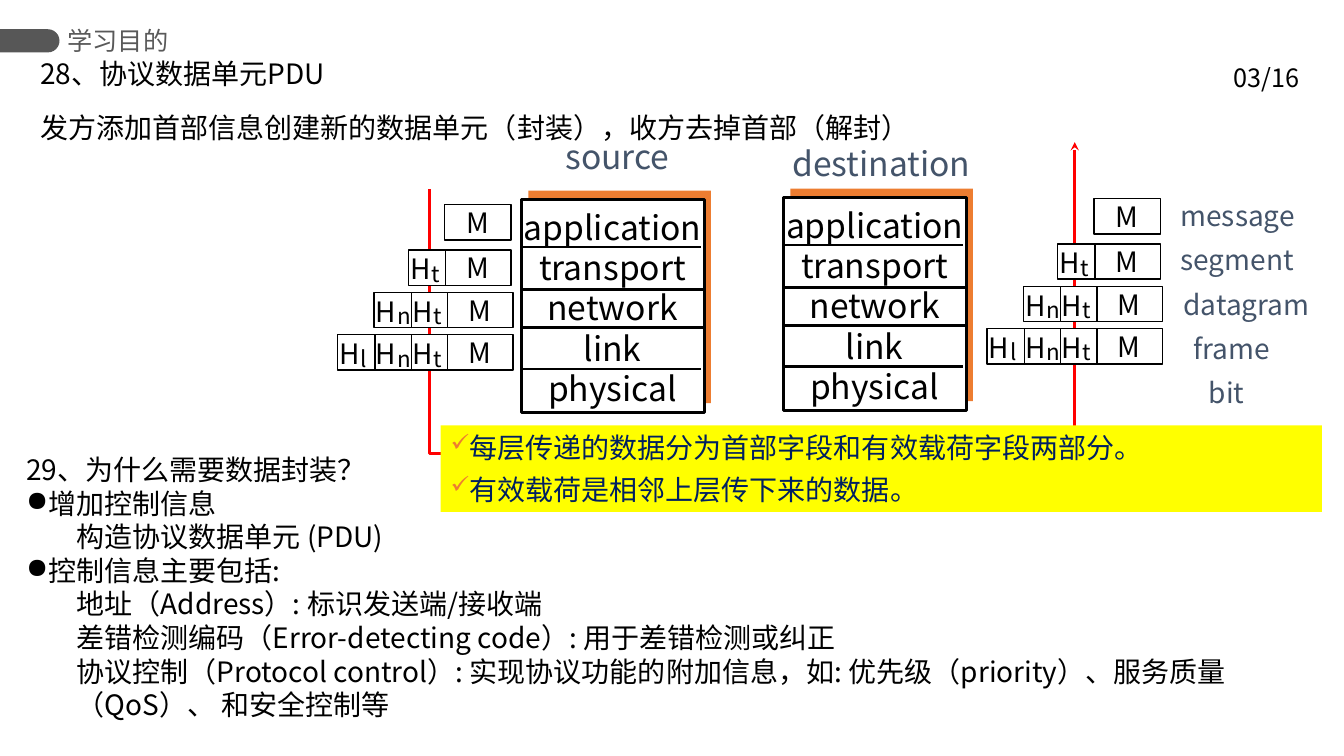
from lxml import etree
from pptx import Presentation
from pptx.dml.color import RGBColor
from pptx.enum.shapes import MSO_CONNECTOR, MSO_SHAPE
from pptx.enum.text import MSO_ANCHOR, PP_ALIGN
from pptx.oxml.ns import qn
from pptx.util import Inches, Pt

BLACK = RGBColor(0x00, 0x00, 0x00)
WHITE = RGBColor(0xFF, 0xFF, 0xFF)
TAG_GRAY = RGBColor(0x57, 0x57, 0x57)
TITLE_GRAY = RGBColor(0x59, 0x59, 0x59)
SLATE = RGBColor(0x44, 0x54, 0x6A)
ORANGE = RGBColor(0xED, 0x7D, 0x31)
RED = RGBColor(0xFF, 0x00, 0x00)
YELLOW = RGBColor(0xFF, 0xFF, 0x00)
NAVY = RGBColor(0x00, 0x20, 0x60)

FONT = "Noto Sans CJK SC"
LAYERS = ["application", "transport", "network", "link", "physical"]
# Top of each row, left of its M cell, and header letters from right to left
UNIT_ROWS = [(2.03, 4.41, ""), (2.48, 4.41, "t"), (2.9, 4.43, "tn"), (3.32, 4.43, "tnl")]
UNIT_NAMES = [
    ("message", 11.61, 1.43),
    ("segment", 11.61, 1.43),
    ("datagram", 11.64, 1.5),
    ("frame", 11.74, 0.98),
    ("bit", 11.89, 0.56),
]
NOTES = [
    ("29、为什么需要数据封装？", "plain"),
    ("增加控制信息", "bullet"),
    ("构造协议数据单元 (PDU)", "indent"),
    ("控制信息主要包括:", "bullet"),
    ("地址（Address）: 标识发送端/接收端", "indent"),
    ("差错检测编码（Error-detecting code）: 用于差错检测或纠正", "indent"),
    ("协议控制（Protocol control）: 实现协议功能的附加信息，如: "
     "优先级（priority）、服务质量（QoS）、 和安全控制等", "indent"),
]


def add_run(paragraph, text, size, color, font_name=FONT):
    run = paragraph.add_run()
    run.text = text
    run.font.size = Pt(size)
    run.font.color.rgb = color
    run.font.name = font_name
    latin = run.font._element.find(qn("a:latin"))
    east_asian = etree.Element(qn("a:ea"), typeface=font_name)
    latin.addnext(east_asian)


def add_bullet(paragraph, character, color=None, percent=None):
    properties = paragraph._p.get_or_add_pPr()
    properties.set("marL", "0")
    properties.set("indent", "0")
    if color is not None:
        bullet_color = etree.SubElement(properties, qn("a:buClr"))
        etree.SubElement(bullet_color, qn("a:srgbClr"), val=str(color))
    if percent is not None:
        etree.SubElement(properties, qn("a:buSzPct"), val=str(percent * 1000))
    etree.SubElement(properties, qn("a:buChar"), char=character)


def paragraphs_for(frame, count):
    """Return count paragraphs, beginning with the one the frame already has."""
    return [frame.paragraphs[0]] + [frame.add_paragraph() for _ in range(count - 1)]


def add_box(slide, left, top, width, height, fill, line_width=None,
            kind=MSO_SHAPE.RECTANGLE):
    shape = slide.shapes.add_shape(
        kind, Inches(left), Inches(top), Inches(width), Inches(height))
    shape.shadow.inherit = False
    shape.fill.solid()
    shape.fill.fore_color.rgb = fill
    if line_width is None:
        shape.line.fill.background()
    else:
        shape.line.color.rgb = BLACK
        shape.line.width = Pt(line_width)
    return shape


def add_text(slide, left, top, width, height, lines, size, color=BLACK,
             align=PP_ALIGN.LEFT, wrap=False, font_name=FONT):
    box = slide.shapes.add_textbox(
        Inches(left), Inches(top), Inches(width), Inches(height))
    frame = box.text_frame
    frame.word_wrap = wrap
    for paragraph, line in zip(paragraphs_for(frame, len(lines)), lines):
        paragraph.alignment = align
        add_run(paragraph, line, size, color, font_name)
    return frame


def add_heading(slide):
    tag = add_box(slide, 0.18, 0.11, 0.23, 0.59, TAG_GRAY,
                  kind=MSO_SHAPE.ROUND_2_SAME_RECTANGLE)
    tag.adjustments[0] = 0.5
    tag.rotation = 90
    title = add_text(slide, 0.67, 0.19, 2.33, 0.42, ["学习目的"], 18, TITLE_GRAY,
                     wrap=True, font_name="Arial")
    title.margin_left = title.margin_right = 0
    title.vertical_anchor = MSO_ANCHOR.MIDDLE
    add_text(slide, 12.14, 0.57, 0.9, 0.4, ["03/16"], 18)


def add_layer_stack(slide, dx, dy):
    add_box(slide, 5.24 + dx, 1.89 + dy, 1.81, 2.11, ORANGE)
    add_box(slide, 5.17 + dx, 1.98 + dy, 1.82, 2.11, WHITE, 2)
    for x, y in [(5.16, 2.45), (5.19, 2.87), (5.19, 3.25), (5.16, 3.66)]:
        divider = slide.shapes.add_connector(
            MSO_CONNECTOR.STRAIGHT, Inches(x + dx), Inches(y + dy),
            Inches(x + dx + 1.79), Inches(y + dy))
        divider.line.color.rgb = BLACK
        divider.line.width = Pt(2)
        etree.SubElement(divider._element.spPr, qn("a:effectLst"))
    add_text(slide, 5.08 + dx, 2 + dy, 1.99, 2.12, LAYERS, 24, align=PP_ALIGN.CENTER)


def add_data_path(slide):
    """Draw the red route down the source, across, and up the destination."""
    builder = slide.shapes.build_freeform(Inches(4.26), Inches(1.88))
    corners = [(4.26, 4.5), (10.66, 4.5), (10.66, 1.41)]
    builder.add_line_segments([(Inches(x), Inches(y)) for x, y in corners], close=False)
    route = builder.convert_to_shape()
    route.shadow.inherit = False
    route.fill.background()
    route.line.color.rgb = RED
    route.line.width = Pt(2)
    etree.SubElement(route.line._get_or_add_ln(), qn("a:tailEnd"), type="stealth")


def add_header_cell(slide, left, top, letter):
    add_box(slide, left, top, 0.37, 0.35, WHITE, 1)
    add_text(slide, left - 0.08, top - 0.03, 0.34, 0.44, ["H"], 20, wrap=True)
    add_text(slide, left + 0.13, top + 0.05, 0.32, 0.37, [letter], 16, wrap=True)


def add_data_units(slide, dx, dy):
    for top, left, headers in UNIT_ROWS:
        message = add_box(slide, left + dx, top + dy, 0.66, 0.35, WHITE, 1)
        frame = message.text_frame
        frame.word_wrap = False
        frame.vertical_anchor = MSO_ANCHOR.MIDDLE
        frame.paragraphs[0].alignment = PP_ALIGN.CENTER
        add_run(frame.paragraphs[0], "M", 20, BLACK)
        for position, letter in enumerate(headers, start=1):
            add_header_cell(slide, left + dx - 0.36 * position, top + dy, letter)


def add_highlight(slide):
    frame = add_box(slide, 4.37, 4.22, 8.74, 0.86, YELLOW).text_frame
    frame.word_wrap = True
    frame.vertical_anchor = MSO_ANCHOR.TOP
    lines = ["每层传递的数据分为首部字段和有效载荷字段两部分。", "有效载荷是相邻上层传下来的数据。"]
    first, second = paragraphs_for(frame, len(lines))
    second.space_before = Pt(6)
    for paragraph, line in zip((first, second), lines):
        paragraph.alignment = PP_ALIGN.LEFT
        add_bullet(paragraph, "✓", ORANGE, 85)
        add_run(paragraph, line, 20, NAVY)


def add_introduction(slide):
    lines = ["28、协议数据单元PDU", "发方添加首部信息创建新的数据单元（封装），收方去掉首部（解封）"]
    frame = add_text(slide, 0.3, 0.58, 11.68, 0.91, lines, 20, wrap=True)
    for paragraph in frame.paragraphs:
        paragraph.line_spacing = 0.8
    frame.paragraphs[1].space_before = Pt(19)


def add_notes(slide):
    lines = [line for line, _ in NOTES]
    frame = add_text(slide, 0.16, 4.44, 12.87, 2.79, lines, 20, wrap=True)
    for paragraph, (_, style) in zip(frame.paragraphs, NOTES):
        if style == "bullet":
            add_bullet(paragraph, "●")
        elif style == "indent":
            paragraph.level = 1
            properties = paragraph._p.get_or_add_pPr()
            properties.set("marL", str(Inches(0.5)))
            properties.set("indent", "0")


def main():
    presentation = Presentation()
    presentation.slide_width = Inches(13.33)
    presentation.slide_height = Inches(7.5)
    slide = presentation.slides.add_slide(presentation.slide_layouts[6])

    add_heading(slide)
    add_layer_stack(slide, 0, 0)
    add_layer_stack(slide, 2.6, -0.02)
    add_text(slide, 5.51, 1.3, 1.26, 0.51, ["source"], 24, SLATE)
    add_text(slide, 7.76, 1.37, 2.01, 0.51, ["destination"], 24, SLATE)
    add_data_path(slide)
    add_data_units(slide, 0, 0)
    add_data_units(slide, 6.44, -0.06)
    for row, (name, left, width) in enumerate(UNIT_NAMES):
        add_text(slide, left, 1.92 + 0.44 * row, width, 0.44, [name], 20, SLATE)
    add_highlight(slide)
    add_introduction(slide)
    add_notes(slide)
    presentation.save("out.pptx")


if __name__ == "__main__":
    main()
